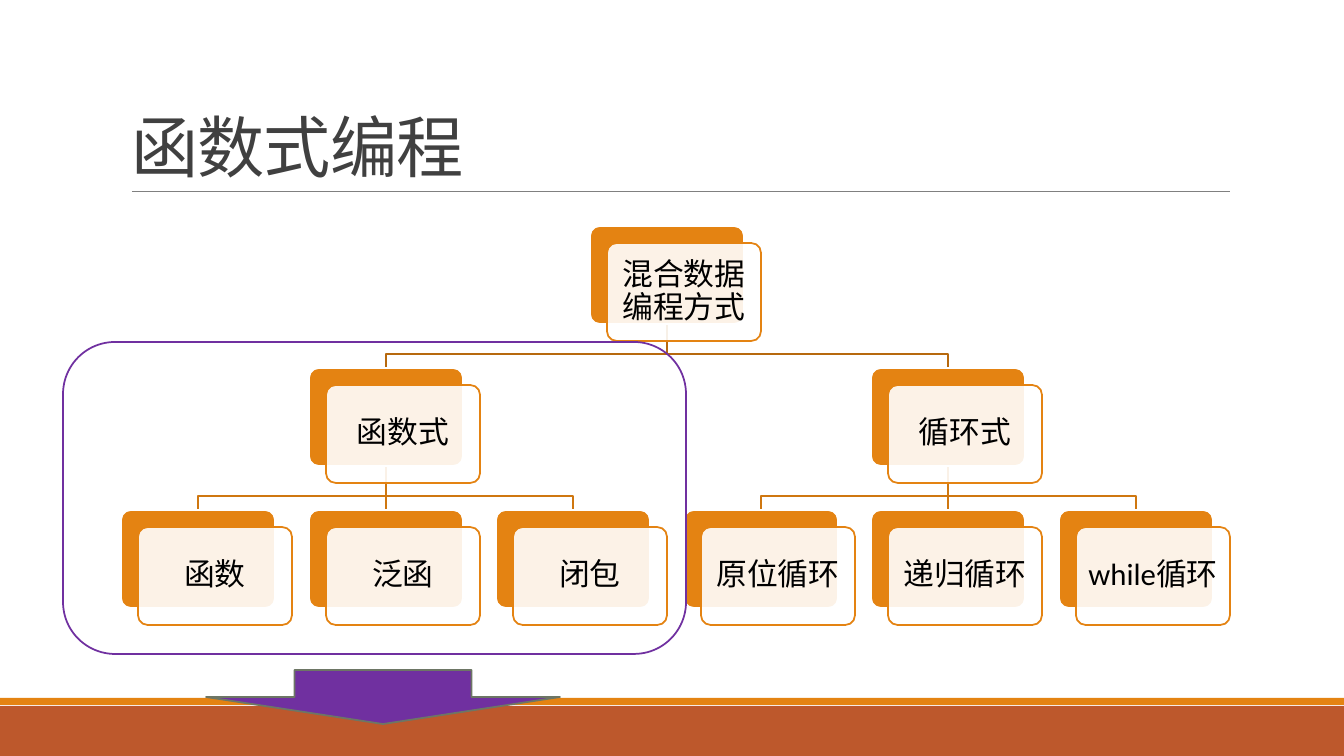
"""Build the functional programming slide with its tree of looping styles."""
from lxml import etree
from pptx import Presentation
from pptx import util as u
from pptx.dml.color import RGBColor
from pptx.enum import shapes, text
from pptx.oxml.ns import qn

PX = 914400 / 100.8
ORANGE = RGBColor(0xE4, 0x83, 0x12)
RUST = RGBColor(0xBD, 0x58, 0x2C)
PURPLE = RGBColor(0x70, 0x30, 0xA0)
ARROW_EDGE = RGBColor(0x6D, 0x76, 0x65)
GREY = RGBColor(0x80, 0x80, 0x80)
DARK = RGBColor(0x40, 0x40, 0x40)
BLACK = RGBColor(0, 0, 0)
WHITE = RGBColor(0xFF, 0xFF, 0xFF)
LEVEL_LINES = {1: RGBColor(0xB7, 0x69, 0x0E), 2: RGBColor(0xCF, 0x77, 0x10)}

BOX_W, BOX_H, OFFSET, BEND = 154, 98, 17, 30
NODES = {
    "混合数据编程方式": (2.5, 0, None),
    "函数式": (1, 1, "混合数据编程方式"),
    "函数": (0, 2, "函数式"),
    "泛函": (1, 2, "函数式"),
    "闭包": (2, 2, "函数式"),
    "循环式": (4, 1, "混合数据编程方式"),
    "原位循环": (3, 2, "循环式"),
    "递归循环": (4, 2, "循环式"),
    "while循环": (5, 2, "循环式"),
}


def emu(*lengths):
    """Turn px lengths into EMU."""
    return [u.Emu(round(n * PX)) for n in lengths]


def set_all(target, values):
    """Set every attribute named in a dict."""
    for name, value in values.items():
        setattr(target, name, value)


def paint_line(line, color, width):
    """Give a line its colour and width."""
    line.color.rgb = color
    line.width = u.Pt(width)


def add_box(s, kind, box, fill=None, edge=None):
    """Add a preset shape without shadow."""
    sp = s.shapes.add_shape(kind, *emu(*box))
    sp.shadow.inherit = False
    if fill is None:
        sp.fill.background()
    else:
        sp.fill.solid()
        sp.fill.fore_color.rgb = fill
    if edge is None:
        sp.line.fill.background()
    else:
        paint_line(sp.line, edge, 1.25)
    return sp


def add_line(s, ends, color, width):
    """Add a straight line without shadow."""
    line = s.shapes.add_connector(shapes.MSO_CONNECTOR.STRAIGHT, *emu(*ends))
    paint_line(line.line, color, width)
    etree.SubElement(line.element.spPr, qn("a:effectLst"))


def write(tf, words, size, color, align, spacing):
    """Write one formatted paragraph."""
    p = tf.paragraphs[0]
    set_all(p, {"alignment": align, "line_spacing": spacing})
    r = p.add_run()
    r.text = words
    set_all(r.font, {"size": u.Pt(size), "name": "Calibri"})
    r.font.color.rgb = color
    return r


def add_title(s, words):
    """Place and format the title placeholder."""
    sp = s.shapes.title
    left, top, width, height = emu(121, 31, 1109, 160)
    set_all(sp, {"left": left, "top": top, "width": width, "height": height})
    set_all(sp.text_frame, {
        "vertical_anchor": text.MSO_ANCHOR.BOTTOM,
        "auto_size": text.MSO_AUTO_SIZE.NONE,
        "word_wrap": True,
    })
    r = write(sp.text_frame, words, 48, DARK, text.PP_ALIGN.LEFT, 0.85)
    r.font._element.set("spc", "-50")


def locate(words):
    """Return the centre x and top y of a node's back box."""
    column, level, _ = NODES[words]
    return round(198 + 187.6 * column), 226 + 142 * level


def add_branch(s, words):
    """Join a node to its parent."""
    _, level, parent = NODES[words]
    x, y = locate(words)
    px, py = locate(parent)
    start = py + BOX_H
    color = LEVEL_LINES[level]
    if x == px:
        add_line(s, (px, start, x, y), color, 1.25)
        return
    builder = s.shapes.build_freeform(px, start, scale=PX)
    corner = start + BEND
    builder.add_line_segments([(px, corner), (x, corner), (x, y)], close=False)
    sp = builder.convert_to_shape()
    sp.shadow.inherit = False
    sp.fill.background()
    paint_line(sp.line, color, 1.25)


def add_node(s, words):
    """Draw a back box and the translucent labelled box in front."""
    x, top = locate(words)
    left = x - BOX_W // 2
    rounded = shapes.MSO_SHAPE.ROUNDED_RECTANGLE
    back = add_box(s, rounded, (left, top, BOX_W, BOX_H), ORANGE, WHITE)
    front = add_box(s, rounded, (left + OFFSET, top + OFFSET, BOX_W, BOX_H), WHITE, ORANGE)
    for sp in (back, front):
        sp.adjustments[0] = 0.1
    color = front.element.spPr.find(qn("a:solidFill")).find(qn("a:srgbClr"))
    etree.SubElement(color, qn("a:alpha"), val="90000")
    inset = emu(9)[0]
    sides = ("left", "top", "right", "bottom")
    set_all(front.text_frame, {f"margin_{side}": inset for side in sides})
    set_all(front.text_frame, {"word_wrap": True, "vertical_anchor": text.MSO_ANCHOR.MIDDLE})
    write(front.text_frame, words, 22, BLACK, text.PP_ALIGN.CENTER, 0.9)


def main():
    """Build and save the slide."""
    prs = Presentation()
    prs.slide_width, prs.slide_height = emu(1344, 756)
    s = prs.slides.add_slide(prs.slide_layouts[5])
    add_box(s, shapes.MSO_SHAPE.RECTANGLE, (0, 706, 1344, 50), RUST)
    add_box(s, shapes.MSO_SHAPE.RECTANGLE, (0, 698, 1344, 7), ORANGE)
    add_line(s, (132, 191, 1230, 191), GREY, 0.5)
    add_title(s, "函数式编程")
    for words, (_, _, parent) in NODES.items():
        if parent:
            add_branch(s, words)
    for words in NODES:
        add_node(s, words)
    add_box(s, shapes.MSO_SHAPE.ROUNDED_RECTANGLE, (63, 342, 623, 312), edge=PURPLE)
    add_box(s, shapes.MSO_SHAPE.DOWN_ARROW, (206, 670, 354, 54), PURPLE, ARROW_EDGE)
    prs.save("out.pptx")


if __name__ == "__main__":
    main()
